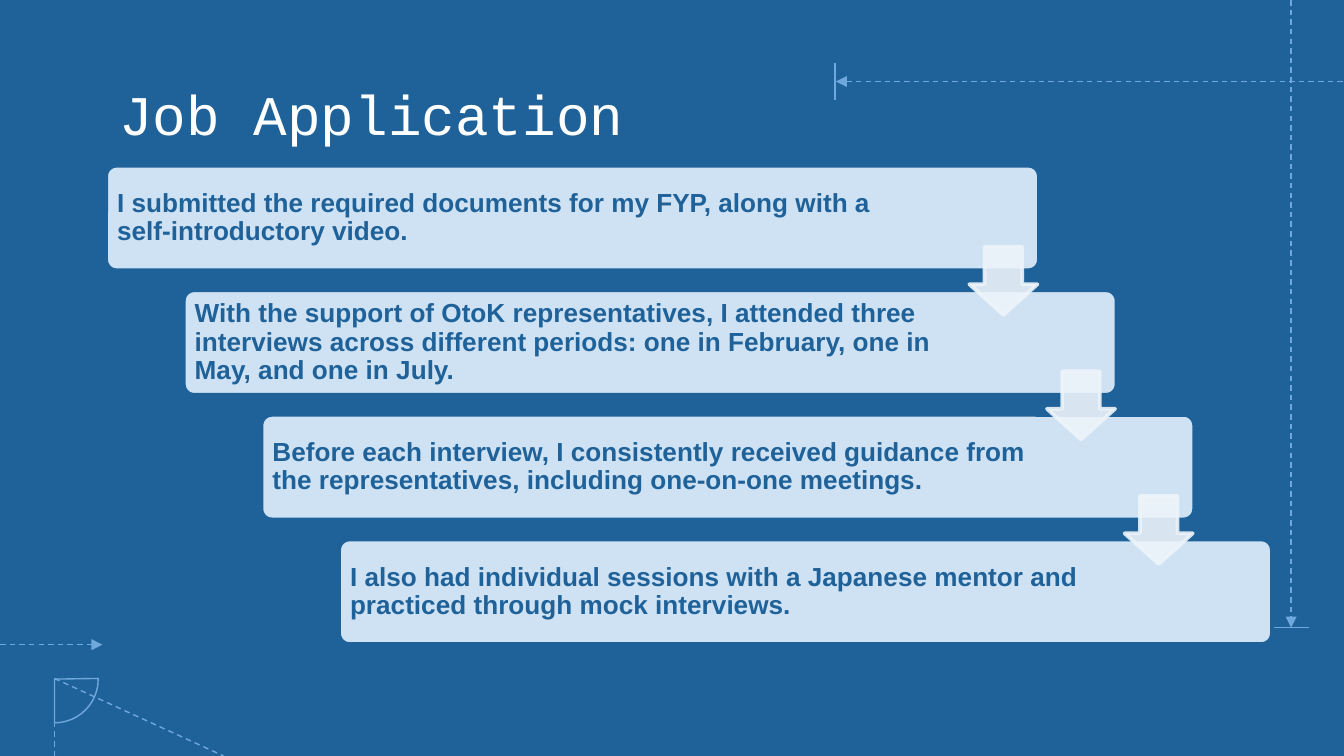
"""Build the Job Application slide: four cascading steps on a blueprint background."""
from dataclasses import dataclass
from typing import Any, Optional

from pptx import Presentation
from pptx import util as u
from pptx.dml import color
from pptx.enum import dml, shapes, text
from pptx.oxml import xmlchemy, ns


@dataclass(frozen=True)
class Theme:
    background: str = "1F6299"
    guide: str = "6FA8DC"
    card: str = "CFE2F3"
    arrow: str = "EDF4FA"
    arrow_alpha: int = 90
    title_color: str = "FFFFFF"
    title_font: str = "Courier New"
    title_size: float = 30
    body_font: str = "Arial"
    body_size: float = 14
    guide_width: float = 0.75
    outline_width: float = 2


@dataclass(frozen=True)
class Box:
    left: float
    top: float
    width: float
    height: float

    def moved(self, dx: float, dy: float) -> "Box":
        return Box(self.left + dx, self.top + dy, self.width, self.height)

    def lengths(self) -> list[u.Length]:
        return [u.Pt(side) for side in (self.left, self.top, self.width, self.height)]


@dataclass(frozen=True)
class Guide:
    start: tuple[float, float]
    end: tuple[float, float]
    dashed: bool = True
    arrow_at: Optional[str] = None


@dataclass(frozen=True)
class Step:
    wording: str
    text_width: float = 418


THEME = Theme()
SLIDE_WIDTH, SLIDE_HEIGHT = 720, 405
TITLE_BOX = Box(56.9, 35.3, 607, 45.4)
PIE_BOX = Box(5.8, 340.4, 46.8, 46.8)
FIRST_CARD = Box(56.9, 88.8, 499.7, 56)
FIRST_ARROW = Box(519.3, 132.2, 36.5, 36.5)
STEP_X, STEP_Y = 41.6, 66.75
TEXT_INSET = 1.65

GUIDES = [
    Guide((447.8, 43.7), (SLIDE_WIDTH, 43.7), arrow_at="headEnd"),
    Guide((447.3, 33.8), (447.3, 53.5), dashed=False),
    Guide((691.7, 0), (691.7, 336.3), arrow_at="tailEnd"),
    Guide((701.5, 336.3), (682, 336.3), dashed=False),
    Guide((0, 345.4), (54.9, 345.4), arrow_at="tailEnd"),
    Guide((29.2, 386.7), (29.2, SLIDE_HEIGHT)),
    Guide((29.2, 363.5), (119.8, SLIDE_HEIGHT)),
]
STEPS = [
    Step("I submitted the required documents for my FYP, along with a "
         "self-introductory video.", 433.4),
    Step("With the support of OtoK representatives, I attended three interviews "
         "across different periods: one in February, one in May, and one in July."),
    Step("Before each interview, I consistently received guidance from the "
         "representatives, including one-on-one meetings."),
    Step("I also had individual sessions with a Japanese mentor and practiced "
         "through mock interviews."),
]


def rgb(value: str) -> color.RGBColor:
    return color.RGBColor.from_string(value)


def apply_format(target: Any, values: dict[str, Any]) -> None:
    for name, value in values.items():
        setattr(target, name, value)


def add_child(parent: Any, tag: str, **attributes: str) -> None:
    child = xmlchemy.OxmlElement(tag)
    for name, value in attributes.items():
        child.set(name, value)
    parent.append(child)


def draw_guide(slide: Any, guide: Guide) -> None:
    ends = [u.Pt(value) for value in (*guide.start, *guide.end)]
    connector = slide.shapes.add_connector(shapes.MSO_CONNECTOR.STRAIGHT, *ends)
    connector.line.color.rgb = rgb(THEME.guide)
    connector.line.width = u.Pt(THEME.guide_width)
    if guide.dashed:
        connector.line.dash_style = dml.MSO_LINE.DASH
    if guide.arrow_at:
        add_child(connector.get_or_add_ln(), f"a:{guide.arrow_at}", type="triangle")
    add_child(connector._element.spPr, "a:effectLst")


def draw_shape(slide: Any, preset: Any, box: Box, adjustments: list[float],
               line: str, width: float, fill: Optional[str] = None) -> Any:
    shape = slide.shapes.add_shape(preset, *box.lengths())
    shape.shadow.inherit = False
    for index, value in enumerate(adjustments):
        shape.adjustments[index] = value
    if fill:
        shape.fill.solid()
        shape.fill.fore_color.rgb = rgb(fill)
    else:
        shape.fill.background()
    shape.line.color.rgb = rgb(line)
    shape.line.width = u.Pt(width)
    return shape


def draw_text(slide: Any, box: Box, wording: str, inset: float, anchor: Any,
              font: dict[str, Any], ink: str, line_spacing: float = 1.0) -> None:
    frame = slide.shapes.add_textbox(*box.lengths()).text_frame
    margins = {f"margin_{side}": u.Pt(inset) for side in ("left", "top", "right", "bottom")}
    apply_format(frame, {"word_wrap": True, "vertical_anchor": anchor, **margins})
    paragraph = frame.paragraphs[0]
    paragraph.line_spacing = line_spacing
    run = paragraph.add_run()
    run.text = wording
    apply_format(run.font, font)
    run.font.color.rgb = rgb(ink)


def draw_step(slide: Any, step: Step, index: int) -> None:
    card = FIRST_CARD.moved(index * STEP_X, index * STEP_Y)
    draw_shape(slide, shapes.MSO_SHAPE.ROUNDED_RECTANGLE, card, [0.1],
               THEME.background, THEME.outline_width, THEME.card)
    body = Box(card.left + TEXT_INSET, card.top + TEXT_INSET,
               step.text_width, card.height - 2 * TEXT_INSET)
    font = {"name": THEME.body_font, "size": u.Pt(THEME.body_size), "bold": True}
    draw_text(slide, body, step.wording, 4.2, text.MSO_ANCHOR.MIDDLE,
              font, THEME.background, 0.9)


def draw_step_arrow(slide: Any, index: int) -> None:
    arrow = draw_shape(slide, shapes.MSO_SHAPE.DOWN_ARROW,
                       FIRST_ARROW.moved(index * STEP_X, index * STEP_Y), [0.55, 0.45],
                       THEME.arrow, THEME.outline_width, THEME.arrow)
    for paint in arrow._element.spPr.iter(ns.qn("a:srgbClr")):
        add_child(paint, "a:alpha", val=str(THEME.arrow_alpha * 1000))


def main() -> None:
    deck = Presentation()
    apply_format(deck, {"slide_width": u.Pt(SLIDE_WIDTH), "slide_height": u.Pt(SLIDE_HEIGHT)})
    slide = deck.slides.add_slide(deck.slide_layouts[6])
    slide.background.fill.solid()
    slide.background.fill.fore_color.rgb = rgb(THEME.background)

    for guide in GUIDES:
        draw_guide(slide, guide)
    pie = draw_shape(slide, shapes.MSO_SHAPE.PIE, PIE_BOX, [107.44, 162],
                     THEME.guide, THEME.guide_width)
    pie.rotation = 180

    title_font = {"name": THEME.title_font, "size": u.Pt(THEME.title_size)}
    draw_text(slide, TITLE_BOX, "Job Application", 7.2, text.MSO_ANCHOR.TOP,
              title_font, THEME.title_color)
    for index, step in enumerate(STEPS):
        draw_step(slide, step, index)
    for index in range(len(STEPS) - 1):
        draw_step_arrow(slide, index)
    deck.save("out.pptx")


if __name__ == "__main__":
    main()
